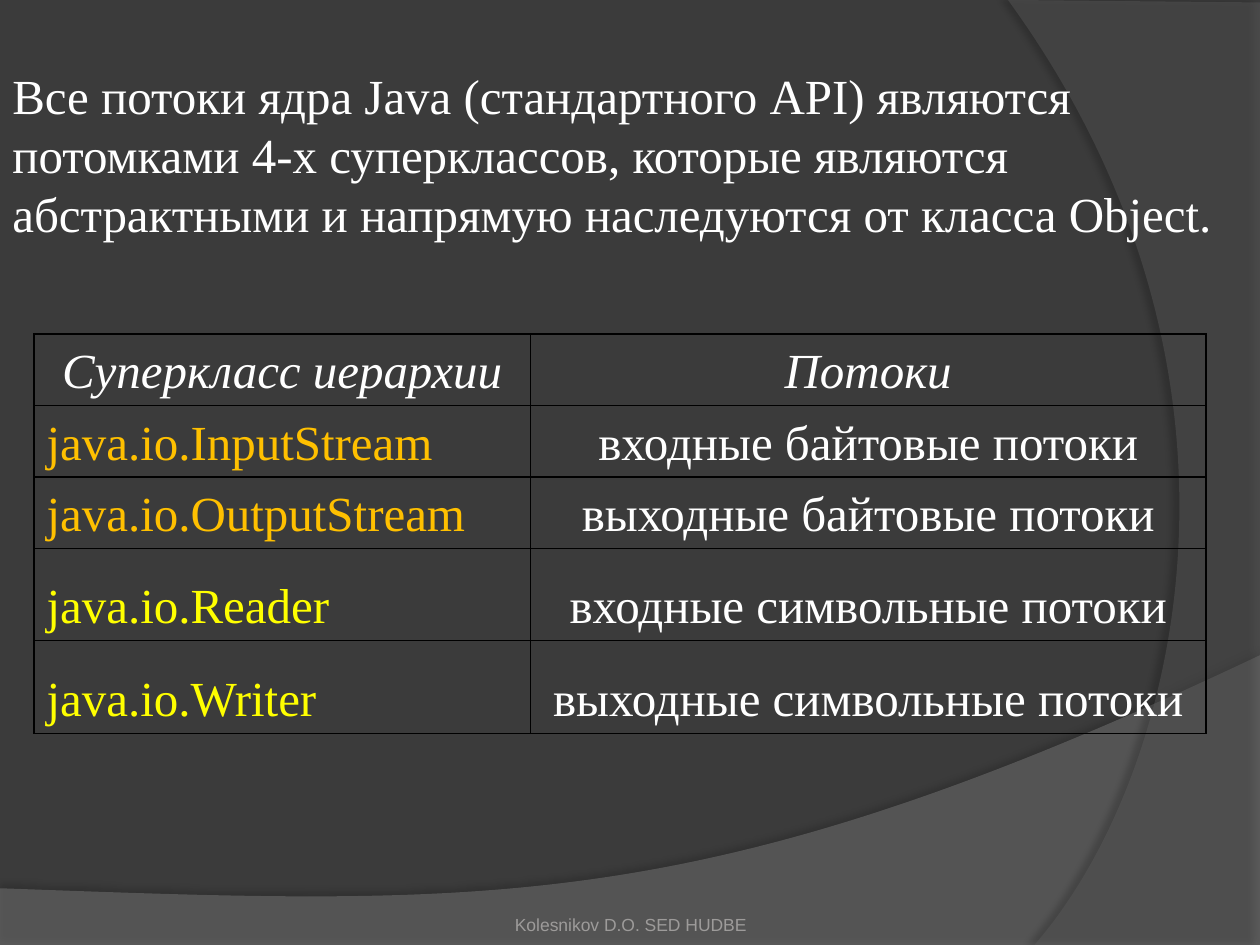
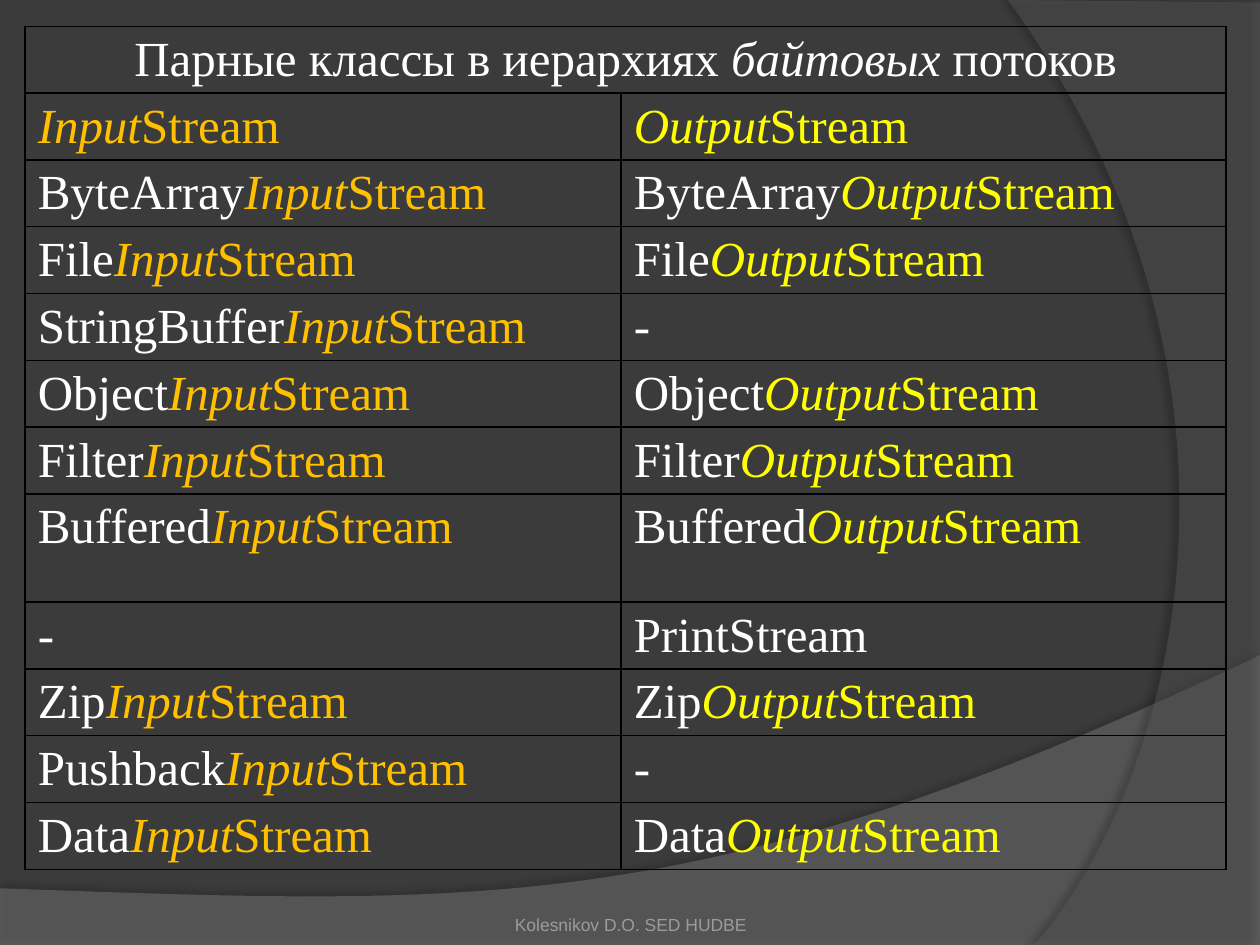
from typing import NamedTuple, Optional, Sequence

from lxml import etree
from pptx import Presentation
from pptx.dml.color import RGBColor
from pptx.enum.text import MSO_ANCHOR, PP_ALIGN
from pptx.oxml.ns import qn
from pptx.util import Inches, Pt

CENTER, LEFT, JUSTIFY = PP_ALIGN.CENTER, PP_ALIGN.LEFT, PP_ALIGN.JUSTIFY
TOP, BOTTOM = MSO_ANCHOR.TOP, MSO_ANCHOR.BOTTOM

COLORS = {
    "background": "3B3B3B",
    "lower_band": "7F7F7F",
    "right_band": "5E5E5E",
    "black": "000000",
    "white": "FFFFFF",
    "orange": "FFC000",
    "yellow": "FFFF00",
    "footer": "9D9B9A",
}
BODY_FONT, FOOTER_FONT = "Times New Roman", "Arial"
BODY_SIZE, FOOTER_SIZE = 28, 10
FOOTER_TEXT = "Kolesnikov D.O. SED HUDBE"


class Run(NamedTuple):
    """A stretch of text with one colour and slant."""
    text: str
    color: str = "white"
    italic: bool = False


class Cell(NamedTuple):
    """The runs of a table cell and their alignment."""
    runs: Sequence[Run]
    align: PP_ALIGN = JUSTIFY


class Band(NamedTuple):
    """A translucent background band: a cubic curve closed by corner points."""
    curve: tuple
    corners: tuple
    color: str
    opacity: int
    shadow_opacity: int
    shadow_distance: float
    shadow_angle: int


BANDS = (
    Band(((10, 5.2), (5.59, 7.29), (3.91, 7.19), (0, 7.05)),
         ((0, 7.51), (10, 7.51)), "lower_band", 45, 35, 3.5, 270),
    Band(((8.21, 7.5), (9.35, 6.19), (10.18, 3), (8, 0)),
         ((10, 0.02), (10, 7.5)), "right_band", 40, 45, 4, 180),
)

INTRO = ("Все потоки ядра Java (стандартного API) являются потомками 4-х "
         "суперклассов, которые являются абстрактными и напрямую "
         "наследуются от класса Object.")

SUPERCLASSES = (
    ("InputStream", "orange", "входные байтовые потоки"),
    ("OutputStream", "orange", "выходные байтовые потоки"),
    ("Reader", "yellow", "входные символьные потоки"),
    ("Writer", "yellow", "выходные символьные потоки"),
)

# Name stems of the input and output class; None where there is no pair.
STREAM_PAIRS = (
    ("", ""),
    ("ByteArray", "ByteArray"),
    ("File", "File"),
    ("StringBuffer", None),
    ("Object", "Object"),
    ("Filter", "Filter"),
    ("Buffered", "Buffered"),
    (None, "Print"),
    ("Zip", "Zip"),
    ("Pushback", None),
    ("Data", "Data"),
)


def rgb(name: str) -> RGBColor:
    """Return the named colour."""
    return RGBColor.from_string(COLORS[name])


def add_color(parent, name: str, opacity: int = 100) -> None:
    """Append an RGB colour element with the given opacity in percent."""
    color = etree.SubElement(parent, qn("a:srgbClr"), val=COLORS[name])
    if opacity < 100:
        etree.SubElement(color, qn("a:alpha"), val=str(opacity * 1000))


def write_runs(paragraph, runs: Sequence[Run], *, align=LEFT,
               font: str = BODY_FONT, size: float = BODY_SIZE) -> None:
    """Fill a paragraph with formatted runs."""
    paragraph.alignment = align
    for item in runs:
        run = paragraph.add_run()
        run.text = item.text
        run.font.name = font
        run.font.size = Pt(size)
        run.font.italic = item.italic
        run.font.color.rgb = rgb(item.color)


def add_text(slide, text: str, box: Sequence[float], *, color: str = "white",
             font: str = BODY_FONT, size: float = BODY_SIZE, align=LEFT,
             anchor=TOP, insets: Sequence[float] = (0.1, 0.05, 0.1, 0.05)) -> None:
    """Add a wrapped text box; insets run left, top, right, bottom."""
    frame = slide.shapes.add_textbox(*map(Inches, box)).text_frame
    frame.word_wrap = True
    frame.vertical_anchor = anchor
    (frame.margin_left, frame.margin_top,
     frame.margin_right, frame.margin_bottom) = map(Inches, insets)
    write_runs(frame.paragraphs[0], [Run(text, color)], align=align,
               font=font, size=size)


def bend_first_edge(shape, curve: tuple) -> None:
    """Turn the first straight edge of a freeform into a cubic curve."""
    edge = next(shape._element.iter(qn("a:lnTo")))
    bend = etree.Element(qn("a:cubicBezTo"))
    for x, y in curve[1:]:
        etree.SubElement(bend, qn("a:pt"), x=str(Inches(x) - shape.left),
                         y=str(Inches(y) - shape.top))
    edge.getparent().replace(edge, bend)


def add_band(slide, band: Band) -> None:
    """Draw one translucent band with its soft shadow."""
    points = [(Inches(x), Inches(y))
              for x, y in (band.curve[0], band.curve[-1], *band.corners)]
    builder = slide.shapes.build_freeform(*points[0])
    builder.add_line_segments(points[1:], close=True)
    shape = builder.convert_to_shape()
    bend_first_edge(shape, band.curve)
    shape.fill.solid()
    shape.fill.fore_color.rgb = rgb(band.color)
    shape.line.fill.background()
    shape.shadow.inherit = False
    properties = shape._element.spPr
    color = properties.find(qn("a:solidFill")).find(qn("a:srgbClr"))
    etree.SubElement(color, qn("a:alpha"), val=str(band.opacity * 1000))
    shadow = etree.SubElement(
        properties.find(qn("a:effectLst")), qn("a:outerShdw"),
        blurRad=str(Pt(4)), dist=str(Pt(band.shadow_distance)),
        dir=str(band.shadow_angle * 60000), algn="ctr", rotWithShape="0")
    add_color(shadow, "black", band.shadow_opacity)


def add_base_slide(presentation):
    """Add a slide with the shared background and bands."""
    slide = presentation.slides.add_slide(presentation.slide_layouts[6])
    slide.background.fill.solid()
    slide.background.fill.fore_color.rgb = rgb("background")
    for band in BANDS:
        add_band(slide, band)
    return slide


def add_footer(slide) -> None:
    """Add the shared footer line."""
    add_text(slide, FOOTER_TEXT, (3.42, 7.02, 3.17, 0.4), color="footer",
             font=FOOTER_FONT, size=FOOTER_SIZE, align=CENTER, anchor=BOTTOM,
             insets=(0, 0.05, 0, 0))


def add_borders(cell) -> None:
    """Give a cell thin black borders on all sides."""
    properties = cell._tc.get_or_add_tcPr()
    for side in ("a:lnL", "a:lnR", "a:lnT", "a:lnB"):
        line = etree.SubElement(properties, qn(side), w=str(Pt(1)))
        add_color(etree.SubElement(line, qn("a:solidFill")), "black")


def add_grid(slide, rows: Sequence[Sequence[Optional[Cell]]], left: float,
             top: float, widths: Sequence[float], heights: Sequence[float],
             *, anchor=TOP, bottom_margin: float = 0.05) -> None:
    """Add an unfilled table; None continues the cell to its left."""
    table = slide.shapes.add_table(
        len(rows), len(widths), Inches(left), Inches(top),
        Inches(sum(widths)), Inches(sum(heights))).table
    table.first_row = table.horz_banding = False
    for column, width in zip(table.columns, widths):
        column.width = Inches(width)
    for row_index, (row, height) in enumerate(zip(rows, heights)):
        table.rows[row_index].height = Inches(height)
        for column_index, content in enumerate(row):
            cell = table.cell(row_index, column_index)
            add_borders(cell)
            cell.fill.background()
            cell.vertical_anchor = anchor
            cell.margin_bottom = Inches(bottom_margin)
            if content is None:
                table.cell(row_index, column_index - 1).merge(cell)
            else:
                write_runs(cell.text_frame.paragraphs[0], content.runs,
                           align=content.align)


def stream_cell(stem: Optional[str], direction: str, color: str) -> Cell:
    """Return a class name with its direction set in coloured italics."""
    if stem is None:
        return Cell([Run("-")])
    if stem == "Print":
        return Cell([Run("PrintStream")])
    runs = [Run(stem)] if stem else []
    return Cell(runs + [Run(direction, color, True), Run("Stream", color)])


def build_superclass_slide(presentation) -> None:
    """Build the slide on the four stream superclasses."""
    slide = add_base_slide(presentation)
    add_text(slide, INTRO, (0, 0, 10, 1.97), insets=(0.1, 0.52, 0.1, 0.05))
    rows = [[Cell([Run(title, italic=True)], CENTER)
             for title in ("Суперкласс иерархии", "Потоки")]]
    rows += [[Cell([Run("java.io." + name, color)], LEFT),
              Cell([Run(meaning)], CENTER)]
             for name, color, meaning in SUPERCLASSES]
    add_grid(slide, rows, 0.27, 2.65, (3.94, 5.36),
             [0.45] * 3 + [0.73, 0.74], anchor=BOTTOM)
    add_footer(slide)


def build_pairs_slide(presentation) -> None:
    """Build the slide on paired byte stream classes."""
    slide = add_base_slide(presentation)
    heading = Cell([Run("Парные классы в иерархиях "),
                    Run("байтовых", italic=True), Run(" потоков")], CENTER)
    rows = [[heading, None]]
    rows += [[stream_cell(source, "Input", "orange"),
              stream_cell(target, "Output", "yellow")]
             for source, target in STREAM_PAIRS]
    heights = [0.86 if pair[0] == "Buffered" else 0.53 for pair in STREAM_PAIRS]
    add_grid(slide, rows, 0.2, 0.21, (4.73, 4.8), [0.53] + heights,
             bottom_margin=0.01)
    add_footer(slide)


def main() -> None:
    """Build and save the presentation."""
    presentation = Presentation()
    presentation.slide_width = Inches(10)
    presentation.slide_height = Inches(7.5)
    build_superclass_slide(presentation)
    build_pairs_slide(presentation)
    presentation.save("out.pptx")


main()
